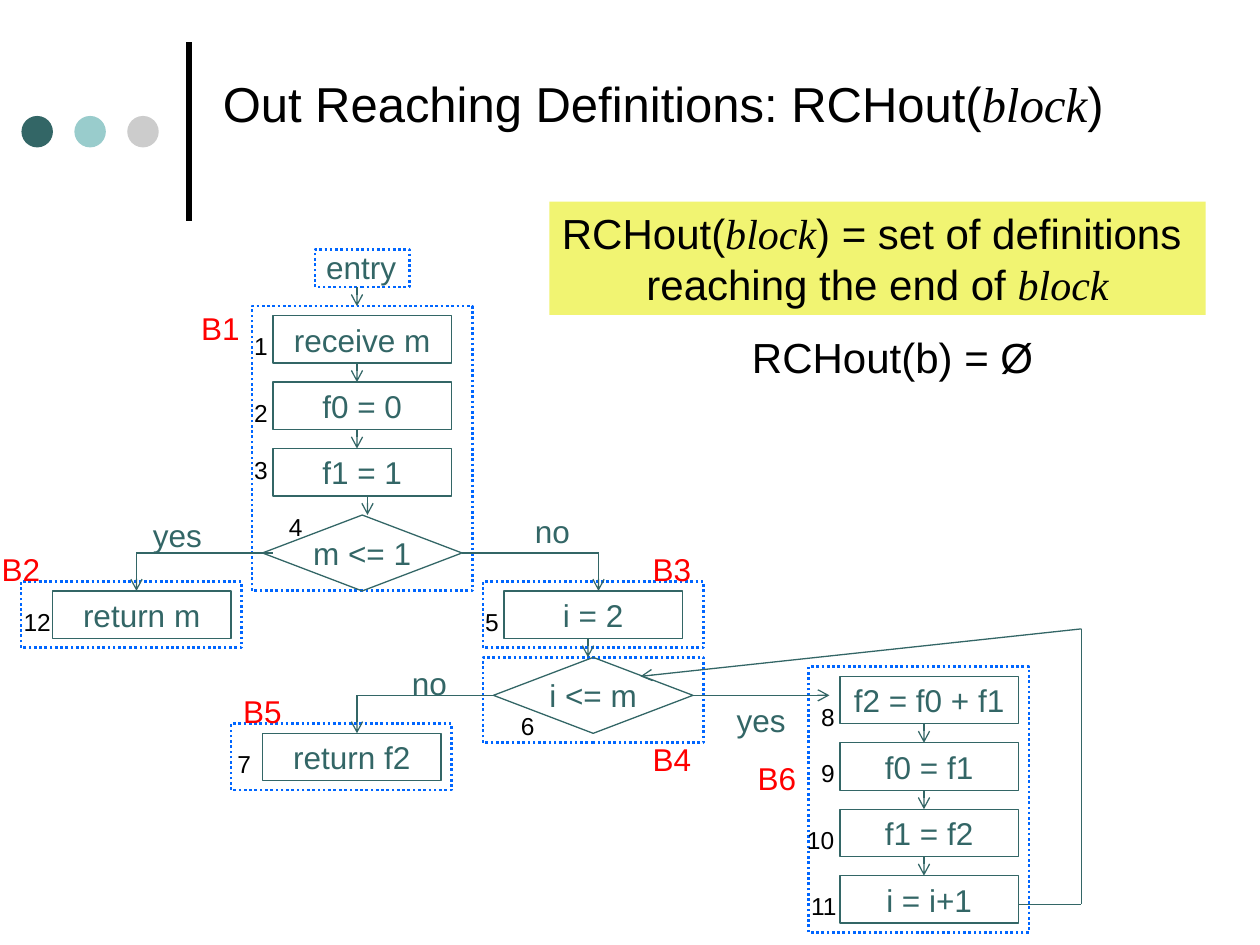
from pptx import Presentation
from pptx import util as u
from pptx.dml.color import RGBColor
from pptx.enum import dml, shapes, text
from pptx.oxml.ns import qn
from lxml import etree

BLACK = RGBColor(0, 0, 0)
TEAL = RGBColor(0x33, 0x66, 0x66)
AQUA = RGBColor(0x99, 0xCC, 0xCC)
GREY = RGBColor(0xCC, 0xCC, 0xCC)
BLUE = RGBColor(0x00, 0x66, 0xFF)
RED = RGBColor(0xFF, 0, 0)
YELLOW = RGBColor(0xF1, 0xF4, 0x72)

COL = 1 / 12
ROW = 2.26 / 30
TOP = 2.43
SHAPE = shapes.MSO_SHAPE
MID = text.MSO_ANCHOR.MIDDLE
LEFT, MIDDLE = text.PP_ALIGN.LEFT, text.PP_ALIGN.CENTER


def spot(col, row):
    return u.Inches(col * COL), u.Inches(TOP + row * ROW)


def area(col, row, wide, high):
    return *spot(col, row), u.Inches(wide * COL), u.Inches(high * ROW)


def inches(*sizes):
    return [u.Inches(size) for size in sizes]


def write(shape, lines, size, color, align=MIDDLE, anchor=text.MSO_ANCHOR.TOP):
    frame = shape.text_frame
    frame.word_wrap = False
    frame.vertical_anchor = anchor
    for i, line in enumerate(lines):
        para = frame.add_paragraph() if i else frame.paragraphs[0]
        para.alignment = align
        for n, part in enumerate(line.split("*")):
            if part:
                run = para.add_run()
                run.text = part
                run.font.size = u.Pt(size)
                run.font.color.rgb = color
                run.font.italic = n % 2 == 1
                run.font.name = "Times New Roman" if n % 2 else "Arial"


def draw(slide, kind, box, fill=None, line=None, width=0.75):
    shape = slide.shapes.add_shape(kind, *box)
    shape.shadow.inherit = False
    if fill is None:
        shape.fill.background()
    else:
        shape.fill.solid()
        shape.fill.fore_color.rgb = fill
    if line is None:
        shape.line.fill.background()
    else:
        shape.line.color.rgb = line
        shape.line.width = u.Pt(width)
    return shape


def node(slide, col, row, label):
    shape = draw(slide, SHAPE.RECTANGLE, area(col, row, 17, 5), line=TEAL)
    write(shape, [label], 18, TEAL, anchor=MID)


def test(slide, col, row, label):
    shape = draw(slide, SHAPE.DIAMOND, area(col, row, 19, 8), line=TEAL)
    write(shape, [label], 18, TEAL, anchor=MID)
    return shape


def block(slide, *box):
    shape = draw(slide, SHAPE.RECTANGLE, area(*box), line=BLUE, width=1.5)
    shape.line.dash_style = dml.MSO_LINE.ROUND_DOT


def label(slide, col, row, wide, words, size=18, color=TEAL):
    high = 5.3 if size == 18 else 4.5
    box = slide.shapes.add_textbox(*area(col, row, wide, high))
    box.text_frame.margin_left = box.text_frame.margin_right = u.Inches(0.04)
    write(box, [words], size, color)


def line(slide, start, end, color=TEAL, width=0.75):
    link = slide.shapes.add_connector(shapes.MSO_CONNECTOR.STRAIGHT, *start, *end)
    link.line.color.rgb = color
    link.line.width = u.Pt(width)
    etree.SubElement(link._element.spPr, qn("a:effectLst"))
    return link


def wire(slide, start, end, arrow=False, source=None, side=0):
    link = line(slide, spot(*start), spot(*end))
    if source is not None:
        link.begin_connect(source, side)
    if arrow:
        tip = etree.SubElement(link.line._get_or_add_ln(), qn("a:tailEnd"))
        tip.set("type", "arrow")


def chain(slide, col, row, labels):
    for i, words in enumerate(labels):
        node(slide, col, row + 7 * i, words)
        if i:
            wire(slide, (col + 8, row + 7 * i - 2), (col + 8, row + 7 * i), True)


def head(slide):
    line(slide, inches(1.5, 1.75), inches(1.5, 0.33), BLACK, 3)
    for i, color in enumerate((TEAL, AQUA, GREY)):
        draw(slide, SHAPE.OVAL, inches(0.17 + 0.42 * i, 0.92, 0.25, 0.25), color)
    title = slide.shapes.add_textbox(*inches(1.67, 0.21, 7.67, 1.21))
    write(title, ["Out Reaching Definitions: RCHout(*block*)"], 28, BLACK, LEFT, MID)


def flow(slide):
    for box in ((30, -6, 9, 4), (24, 0, 21, 30), (2, 29, 21, 7), (46, 29, 21, 7),
                (46, 37, 21, 9), (22, 44, 21, 7), (77, 38, 21, 28)):
        block(slide, *box)
    chain(slide, 26, 1, ["receive m", "f0 = 0", "f1 = 1"])
    chain(slide, 80, 39, ["f2 = f0 + f1", "f0 = f1", "f1 = f2", "i = i+1"])
    node(slide, 5, 30, "return m")
    node(slide, 48, 30, "i = 2")
    node(slide, 25, 45, "return f2")
    first = test(slide, 25, 22, "m <= 1")
    loop = test(slide, 47, 37, "i <= m")

    for col, row in ((34, -2), (35, 20), (56, 35)):
        wire(slide, (col, row), (col, row + 2), True)
    wire(slide, (26, 26), (13, 26))
    wire(slide, (13, 26), (13, 30), True)
    wire(slide, (44, 26), (57, 26), source=first, side=3)
    wire(slide, (57, 26), (57, 30), True)
    wire(slide, (47, 41), (34, 41), source=loop, side=1)
    wire(slide, (34, 41), (34, 45), True)
    wire(slide, (66, 41), (79, 41), True, loop, 3)
    wire(slide, (97, 63), (103, 63))
    wire(slide, (103, 63), (103, 34))
    wire(slide, (103, 34), (61, 39), True)


def tags(slide):
    label(slide, 29.9, -6.8, 9, "entry")
    for col, row, words in ((13.4, 21.5, "yes"), (49.7, 21, "no"),
                            (38, 37, "no"), (69, 41, "yes")):
        label(slide, col, row, 7 if words == "yes" else 5.8, words)
    steps = ((23, 2), (23, 9), (23, 15), (26.3, 21), (45, 31), (48.4, 42),
             (21.4, 46), (77, 41), (77, 47), (75.7, 54), (76, 61), (1.1, 31))
    for i, (col, row) in enumerate(steps, 1):
        label(slide, col, row, 3.7 if i < 10 else 4.9, str(i), 14, BLACK)
    names = ((18, -0.4), (-1, 25), (61, 25), (61, 45.1), (22, 40), (71, 47.1))
    for i, (col, row) in enumerate(names, 1):
        label(slide, col, row, 6, f"B{i}", color=RED)


def rule(slide):
    note = draw(slide, SHAPE.RECTANGLE, inches(4.36, 1.6, 5.21, 0.9), YELLOW)
    write(note, ["RCHout(*block*) = set of definitions ",
                 "reaching the end of *block*"], 24, BLACK)
    start = slide.shapes.add_textbox(*inches(5.87, 2.58, 2.43, 0.9))
    write(start, ["RCHout(b) = Ø"], 24, BLACK, LEFT)


def main():
    deck = Presentation()
    deck.slide_width, deck.slide_height = inches(10, 7.5)
    slide = deck.slides.add_slide(deck.slide_layouts[6])
    head(slide)
    flow(slide)
    tags(slide)
    rule(slide)
    deck.save("out.pptx")


if __name__ == "__main__":
    main()
